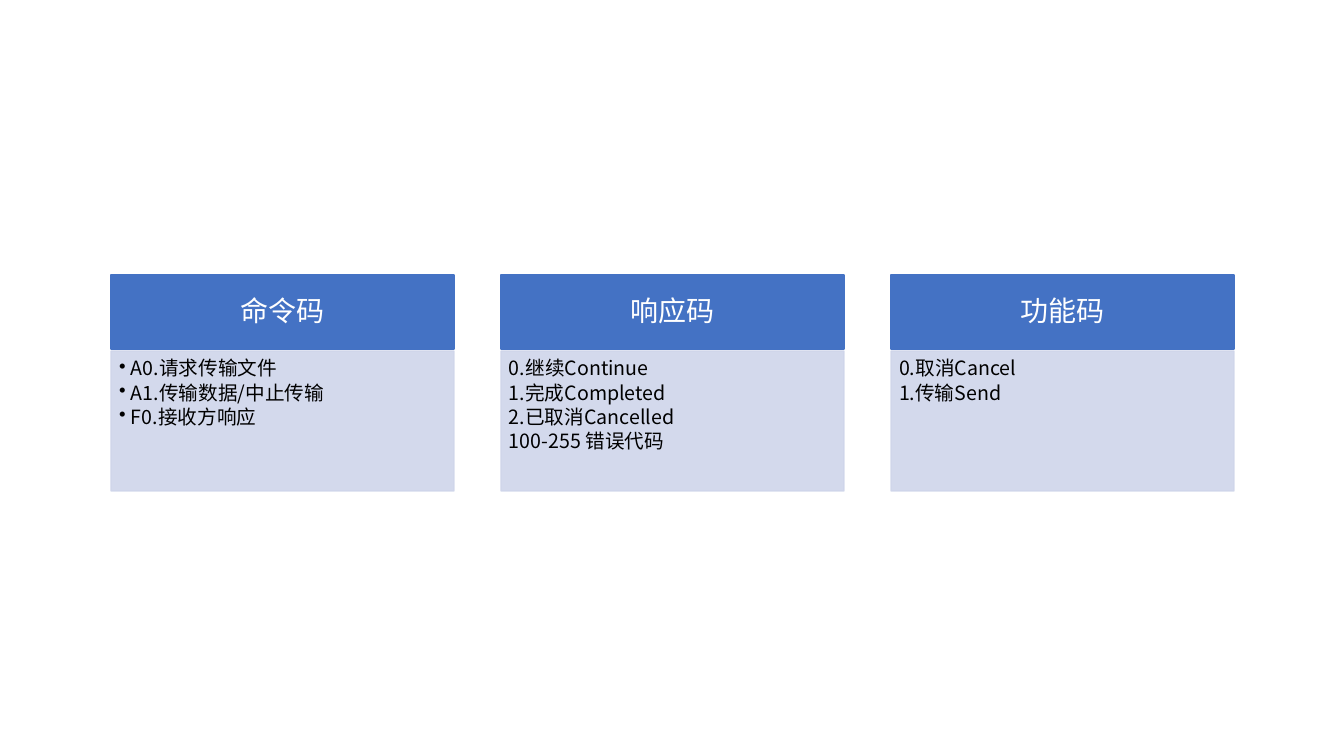
from lxml.etree import SubElement
from pptx import Presentation
from pptx.dml.color import RGBColor
from pptx.enum.shapes import MSO_SHAPE
from pptx.enum.text import MSO_ANCHOR, PP_ALIGN
from pptx.oxml.ns import qn
from pptx.util import Pt

# Content: heading, then (marker, text) lines
DOT, NUMBER, PLAIN = "dot", "number", "plain"
CODE_GROUPS = [
    ("命令码", [(DOT, "A0.请求传输文件"),
             (DOT, "A1.传输数据/中止传输"),
             (DOT, "F0.接收方响应")]),
    ("响应码", [(PLAIN, "0.继续Continue"),
             (NUMBER, "完成Completed"),
             (NUMBER, "已取消Cancelled"),
             (PLAIN, "100-255 错误代码")]),
    ("功能码", [(PLAIN, "0.取消Cancel"),
             (NUMBER, "传输Send")]),
]

# Style
FONT = "Noto Sans CJK SC"
BLUE = RGBColor(0x44, 0x72, 0xC4)
PALE_BLUE = RGBColor(0xCF, 0xD5, 0xEA)
WHITE = RGBColor(0xFF, 0xFF, 0xFF)
BLACK = RGBColor(0x00, 0x00, 0x00)

# Layout in px
SLIDE_W, SLIDE_H = 1344, 756
LEFT, COLUMN_W, COLUMN_STEP = 111, 343, 390
HEADING_TOP, HEADING_H = 275, 74
CODES_TOP, CODES_H = 351, 140
HANGING = 12


def px(length):
    return round(length * 914400 / 100.8)


def add_panel(slide, left, top, height, color, margins, opacity=100):
    panel = slide.shapes.add_shape(
        MSO_SHAPE.RECTANGLE, px(left), px(top), px(COLUMN_W), px(height))
    panel.shadow.inherit = False
    panel.fill.solid()
    panel.line.width = Pt(1)
    for paint in (panel.fill.fore_color, panel.line.color):
        paint.rgb = color
    if opacity < 100:
        for tint in panel.element.spPr.iter(qn("a:srgbClr")):
            SubElement(tint, qn("a:alpha"), val=str(opacity * 1000))
    frame = panel.text_frame
    frame.word_wrap = True
    (frame.margin_left, frame.margin_top,
     frame.margin_right, frame.margin_bottom) = map(px, margins)
    return frame


def write_line(paragraph, text, size, color, align, after_percent):
    paragraph.alignment = align
    paragraph.line_spacing = 0.9
    properties = paragraph._p.get_or_add_pPr()
    after = SubElement(properties, qn("a:spcAft"))
    SubElement(after, qn("a:spcPct"), val=str(after_percent * 1000))
    run = paragraph.add_run()
    run.text = text
    run.font.size = Pt(size)
    run.font.name = FONT
    run.font.color.rgb = color
    SubElement(run._r.get_or_add_rPr(), qn("a:ea"), typeface=FONT)
    return properties


def set_marker(properties, marker):
    properties.set("marL", str(px(HANGING)))
    properties.set("indent", str(-px(HANGING)))
    if marker == DOT:
        SubElement(properties, qn("a:buChar"), char="•")
    elif marker == NUMBER:
        SubElement(properties, qn("a:buAutoNum"), type="arabicPeriod")
    else:
        SubElement(properties, qn("a:buNone"))


def main():
    deck = Presentation()
    deck.slide_width, deck.slide_height = px(SLIDE_W), px(SLIDE_H)
    slide = deck.slides.add_slide(deck.slide_layouts[6])

    for column, (heading, codes) in enumerate(CODE_GROUPS):
        left = LEFT + column * COLUMN_STEP

        # Heading bar
        bar = add_panel(slide, left, HEADING_TOP, HEADING_H, BLUE, (16, 9, 16, 9))
        bar.vertical_anchor = MSO_ANCHOR.MIDDLE
        write_line(bar.paragraphs[0], heading, 20, WHITE, PP_ALIGN.CENTER, 35)

        # Code list
        listing = add_panel(slide, left, CODES_TOP, CODES_H, PALE_BLUE,
                            (8, 8, 11, 12), opacity=90)
        listing.vertical_anchor = MSO_ANCHOR.TOP
        for row, (marker, code) in enumerate(codes):
            line = listing.add_paragraph() if row else listing.paragraphs[0]
            line.level = 1
            set_marker(write_line(line, code, 14, BLACK, PP_ALIGN.LEFT, 15), marker)

    deck.save("out.pptx")


if __name__ == "__main__":
    main()
